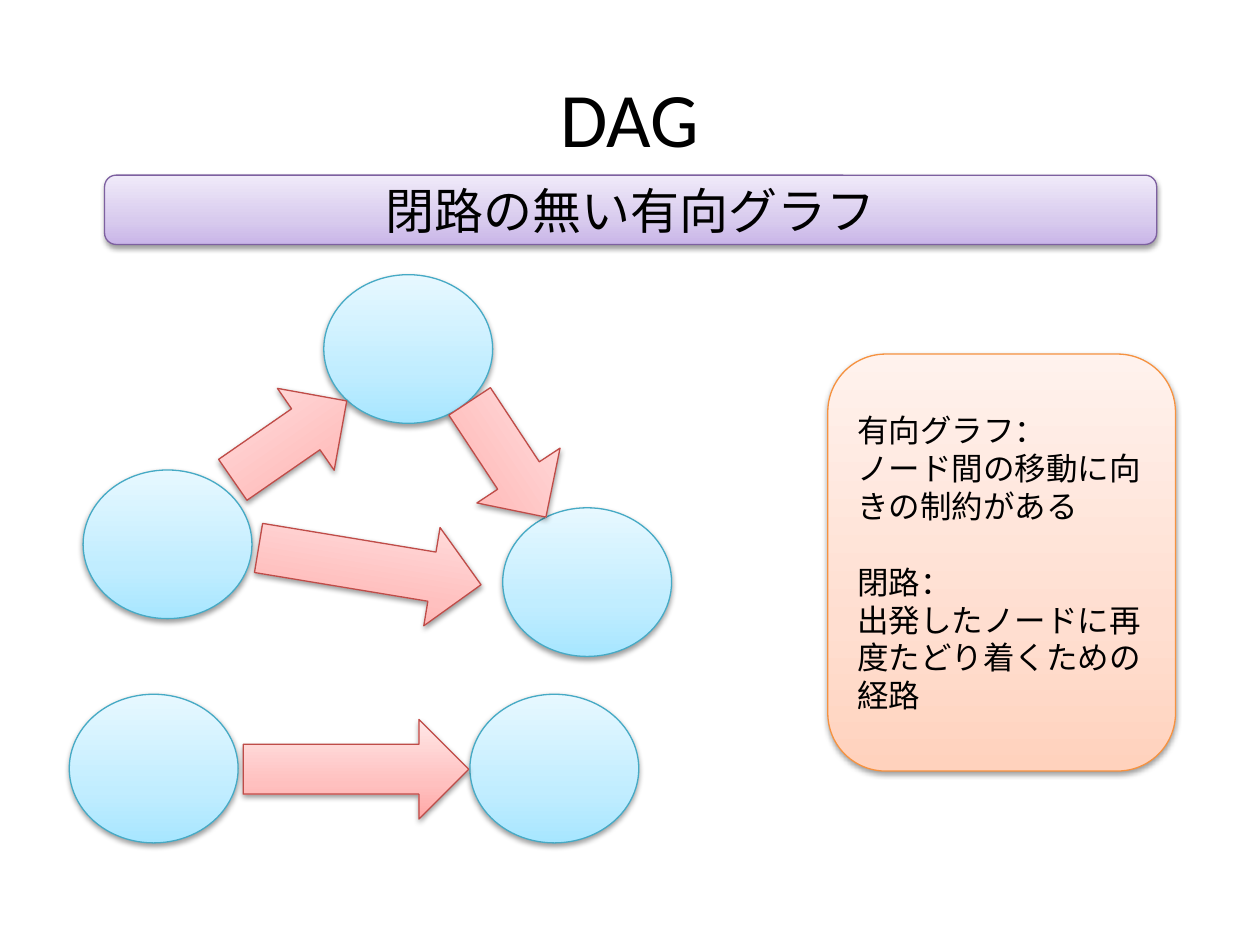
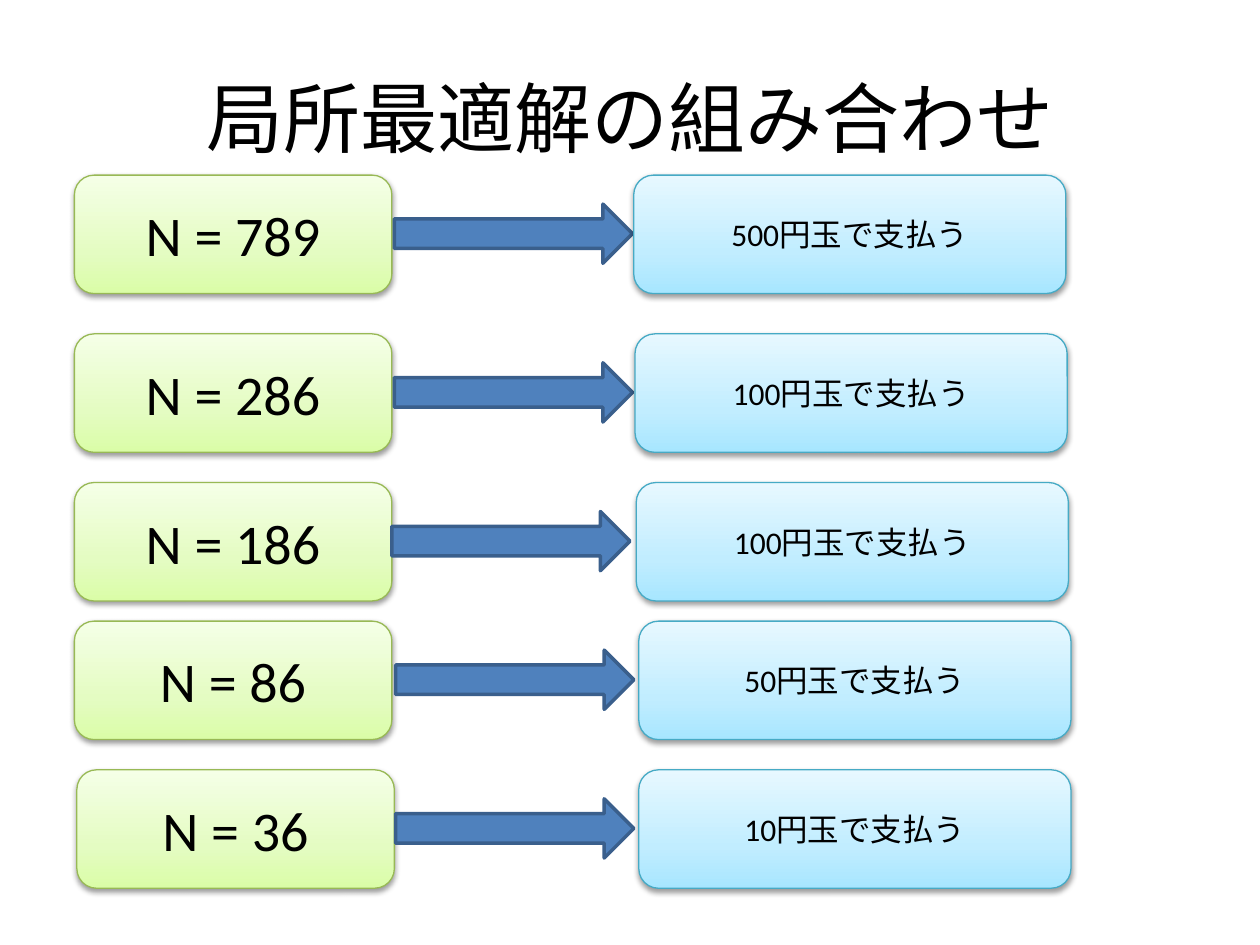
from dataclasses import dataclass

from lxml import etree
from pptx import Presentation
from pptx.dml.color import RGBColor
from pptx.enum.shapes import MSO_SHAPE
from pptx.enum.text import MSO_ANCHOR, PP_ALIGN
from pptx.oxml.ns import qn
from pptx.util import Emu, Pt

ROUND = MSO_SHAPE.ROUNDED_RECTANGLE
OVAL = MSO_SHAPE.OVAL
ARROW = MSO_SHAPE.RIGHT_ARROW
LEFT, CENTER = PP_ALIGN.LEFT, PP_ALIGN.CENTER
MIDDLE = MSO_ANCHOR.MIDDLE

FONT = "Calibri"
SCALE = 9144  # EMU per px, 100 px to the inch
TITLE_ONLY = 5
COLORS = {"text": "000000", "shadow": "000000", "blue": "4F81BD", "navy": "3A5F8C"}


@dataclass(frozen=True)
class Tone:
    """Gradient from bottom to top, and the outline."""
    low: str
    mid: str
    high: str
    line: str


@dataclass(frozen=True)
class Box:
    x: int
    y: int
    w: int
    h: int
    turn: float = 0


@dataclass(frozen=True)
class Step:
    """One payment: amount left, coin used, and the row's place."""
    rest: int
    coin: int
    y: int
    left: int
    arrow: int
    right: int


TONES = {
    "purple": Tone("C9B5E8", "D8CBEE", "F0EAF9", "7D60A0"),
    "aqua": Tone("A7E6FF", "C1EDFF", "E7F8FF", "46AAC5"),
    "red": Tone("FFA6A5", "FFC0BF", "FFE7E7", "BF4C48"),
    "orange": Tone("FFD2BD", "FFDED0", "FFF2ED", "F69240"),
    "green": Tone("DAFDA7", "E4FCC2", "F5FFE7", "98B955"),
}

NODES = [(66, 373), (257, 218), (399, 403), (55, 551), (373, 551)]
EDGES = [
    Box(175, 310, 110, 79, 325.3),
    Box(204, 410, 179, 79, 9.4),
    Box(348, 325, 110, 79, 56.6),
    Box(193, 571, 179, 79),
]
TERMS = [
    ("有向グラフ：", "ノード間の移動に向きの制約がある"),
    ("閉路：", "出発したノードに再度たどり着くための経路"),
]
STEPS = [
    Step(789, 500, 139, 59, 313, 503),
    Step(286, 100, 265, 59, 313, 504),
    Step(186, 100, 383, 59, 311, 505),
    Step(86, 50, 493, 59, 314, 507),
    Step(36, 10, 611, 61, 314, 507),
]


def px(size: int) -> Emu:
    return Emu(size * SCALE)


def write(frame, text: str, *, size: int, align=CENTER, gap: int = 0,
          first: bool = True) -> None:
    """Add one paragraph, with a gap in points above it."""
    para = frame.paragraphs[0] if first else frame.add_paragraph()
    para.alignment = align
    para.space_before = Pt(gap)
    run = para.add_run()
    run.text = text
    run.font.name = FONT
    run.font.size = Pt(size)
    run.font.color.rgb = RGBColor.from_string(COLORS["text"])
    frame.vertical_anchor = MIDDLE


def place(shape, box: Box) -> None:
    shape.left, shape.top = px(box.x), px(box.y)
    shape.width, shape.height = px(box.w), px(box.h)


def draw(slide, kind, box: Box, line: str, weight: float):
    """Add a preset shape with its outline and no shadow."""
    shape = slide.shapes.add_shape(kind, 0, 0, 0, 0)
    place(shape, box)
    shape.rotation = box.turn
    shape.line.color.rgb = RGBColor.from_string(line)
    shape.line.width = Pt(weight)
    shape.shadow.inherit = False
    return shape


def tint(parent, color: str):
    return etree.SubElement(parent, qn("a:srgbClr"), val=color)


def shade(slide, kind, box: Box, tone: Tone):
    """Add a shape with a three-stop gradient and a soft shadow."""
    shape = draw(slide, kind, box, tone.line, 0.75)
    shape.fill.gradient()
    shape.fill.gradient_angle = 90
    props = shape.element.spPr
    stops = props.find(f".//{qn('a:gsLst')}")
    for stop in list(stops):
        stops.remove(stop)
    for pos, color in ((0, tone.low), (35, tone.mid), (100, tone.high)):
        tint(etree.SubElement(stops, qn("a:gs"), pos=str(pos * 1000)), color)
    glow = etree.SubElement(
        props.find(qn("a:effectLst")), qn("a:outerShdw"), blurRad="40000",
        dist="20000", dir="5400000", rotWithShape="0")
    etree.SubElement(tint(glow, COLORS["shadow"]), qn("a:alpha"), val="38000")
    return shape


def start(deck, title: str):
    """Add a slide with the shared title style."""
    slide = deck.slides.add_slide(deck.slide_layouts[TITLE_ONLY])
    head = slide.shapes.title
    place(head, Box(50, 30, 900, 125))
    write(head.text_frame, title, size=44)
    return slide


def graph(deck) -> None:
    slide = start(deck, "DAG")
    band = shade(slide, ROUND, Box(83, 139, 835, 55), TONES["purple"])
    write(band.text_frame, "閉路の無い有向グラフ", size=28)

    # Nodes and edges
    for x, y in NODES:
        shade(slide, OVAL, Box(x, y, 134, 118), TONES["aqua"])
    for edge in EDGES:
        shade(slide, ARROW, edge, TONES["red"])

    # Terms
    frame = shade(slide, ROUND, Box(657, 281, 276, 331), TONES["orange"]).text_frame
    for i, (term, sense) in enumerate(TERMS):
        write(frame, term, size=18, align=LEFT, gap=22 * i, first=i == 0)
        write(frame, sense, size=18, align=LEFT, first=False)


def coins(deck) -> None:
    slide = start(deck, "局所最適解の組み合わせ")
    for step in STEPS:
        rest = shade(slide, ROUND, Box(step.left, step.y, 252, 94), TONES["green"])
        write(rest.text_frame, f"N = {step.rest}", size=32)
        arrow = draw(slide, ARROW, Box(step.arrow, step.y + 23, 189, 47),
                     COLORS["navy"], 2)
        arrow.fill.solid()
        arrow.fill.fore_color.rgb = RGBColor.from_string(COLORS["blue"])
        coin = shade(slide, ROUND, Box(step.right, step.y, 343, 94), TONES["aqua"])
        write(coin.text_frame, f"{step.coin}円玉で支払う", size=18)


def main() -> None:
    deck = Presentation()
    deck.slide_width, deck.slide_height = px(1000), px(750)
    graph(deck)
    coins(deck)
    deck.save("out.pptx")


if __name__ == "__main__":
    main()
